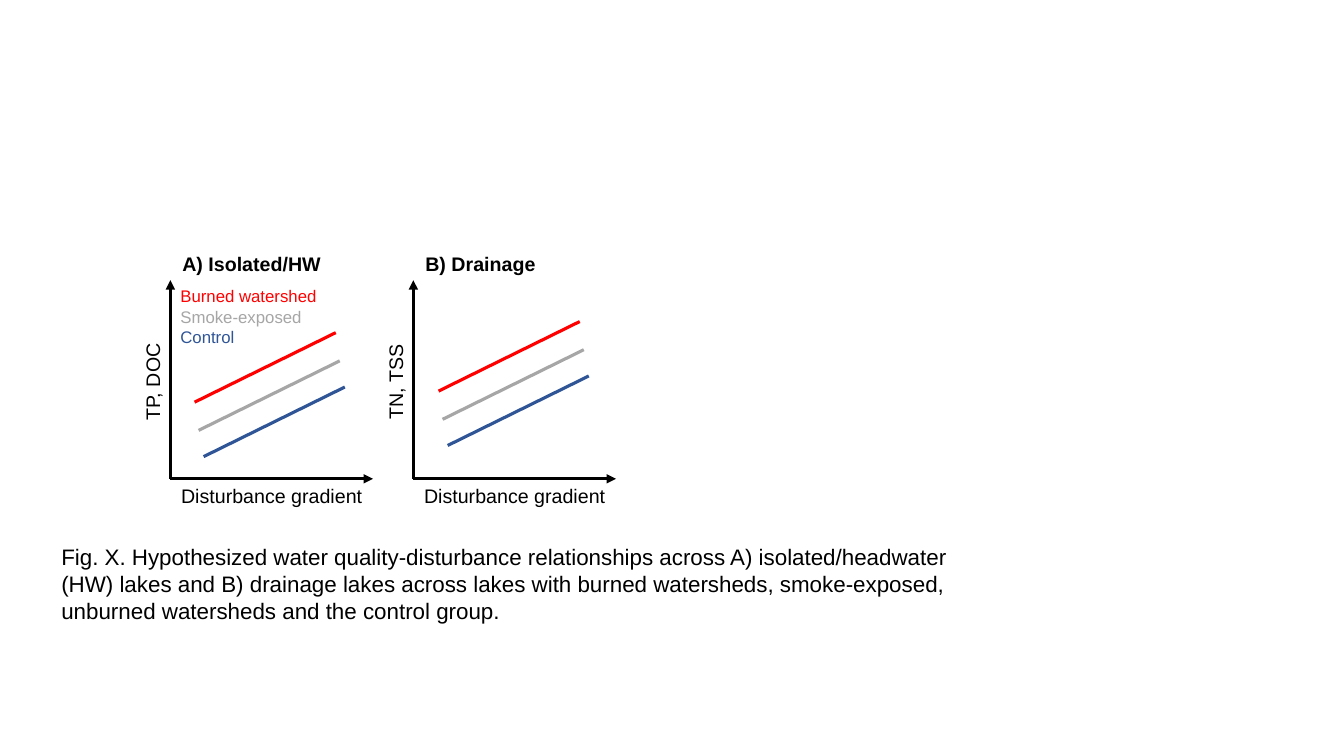
from lxml import etree
from pptx import Presentation
from pptx import util as u
from pptx.dml import color
from pptx.enum import shapes, text
from pptx.oxml import ns

BLACK = "000000"
GROUPS = [
    ("Burned watershed", "FF0000", 0, 0),
    ("Smoke-exposed", "A6A6A6", 0.04, 0.28),
    ("Control", "2F5597", 0.09, 0.54),
]
AXIS_BOTTOM = 4.75
AXIS_TOP = 2.78
AXIS_WIDTH = 2.01
LABEL_HEIGHT = 0.34
TREND_RUN = 1.4
TREND_RISE = 0.69


def rgb(value):
    return color.RGBColor.from_string(value)


def add_text(slide, lines, left, top, width, height, size=14, colors=(BLACK,),
             bold=False, align=text.PP_ALIGN.LEFT, rotation=0):
    shape = slide.shapes.add_textbox(
        u.Inches(left), u.Inches(top), u.Inches(width), u.Inches(height))
    shape.rotation = rotation
    frame = shape.text_frame
    frame.word_wrap = True
    frame.auto_size = text.MSO_AUTO_SIZE.SHAPE_TO_FIT_TEXT
    frame.text = "\n".join(lines)
    for paragraph, line_color in zip(frame.paragraphs, colors):
        paragraph.alignment = align
        font = paragraph.runs[0].font
        font.name = "Arial"
        font.size = u.Pt(size)
        font.bold = bold
        font.color.rgb = rgb(line_color)


def add_line(slide, start, end, line_color=BLACK, arrow=False):
    connector = slide.shapes.add_connector(
        shapes.MSO_CONNECTOR.STRAIGHT,
        *(u.Inches(value) for value in (*start, *end)))
    connector.line.width = u.Pt(2.25)
    connector.line.color.rgb = rgb(line_color)
    properties = connector.element.spPr
    if arrow:
        outline = properties.find(ns.qn("a:ln"))
        etree.SubElement(outline, ns.qn("a:tailEnd"), type="triangle")
    etree.SubElement(properties, ns.qn("a:effectLst"))


def add_axes(slide, left, title, y_label):
    origin = (left, AXIS_BOTTOM)
    add_line(slide, origin, (left, AXIS_TOP), arrow=True)
    add_line(slide, origin, (left + AXIS_WIDTH, AXIS_BOTTOM), arrow=True)
    add_text(slide, ["Disturbance gradient"], left, AXIS_BOTTOM, AXIS_WIDTH,
             LABEL_HEIGHT, align=text.PP_ALIGN.CENTER)
    add_text(slide, [y_label], left - 1.18, 3.62, AXIS_WIDTH, LABEL_HEIGHT,
             align=text.PP_ALIGN.CENTER, rotation=270)
    add_text(slide, [title], left + 0.02, 2.45, AXIS_WIDTH, LABEL_HEIGHT, bold=True)


def add_trends(slide, left, top):
    for _, line_color, shift, drop in GROUPS:
        x, y = left + shift, top + drop
        add_line(slide, (x, y), (x + TREND_RUN, y - TREND_RISE), line_color)


def main():
    presentation = Presentation()
    presentation.slide_width = u.Inches(13.33)
    presentation.slide_height = u.Inches(7.5)
    slide = presentation.slides.add_slide(presentation.slide_layouts[6])

    add_axes(slide, 1.69, "A) Isolated/HW", "TP, DOC")
    add_axes(slide, 4.1, "B) Drainage", "TN, TSS")
    add_trends(slide, 1.93, 3.99)
    add_text(slide, [group[0] for group in GROUPS], 1.69, 2.79, 1.58, 0.71,
             size=12, colors=[group[1] for group in GROUPS])
    add_text(slide, [
        "Fig. X. Hypothesized water quality-disturbance relationships across "
        "A) isolated/headwater (HW) lakes and B) drainage lakes across lakes "
        "with burned watersheds, smoke-exposed, unburned watersheds and the "
        "control group."], 0.51, 5.34, 9.46, 0.91, size=16)
    add_trends(slide, 4.35, 3.88)

    presentation.save("out.pptx")


if __name__ == "__main__":
    main()
